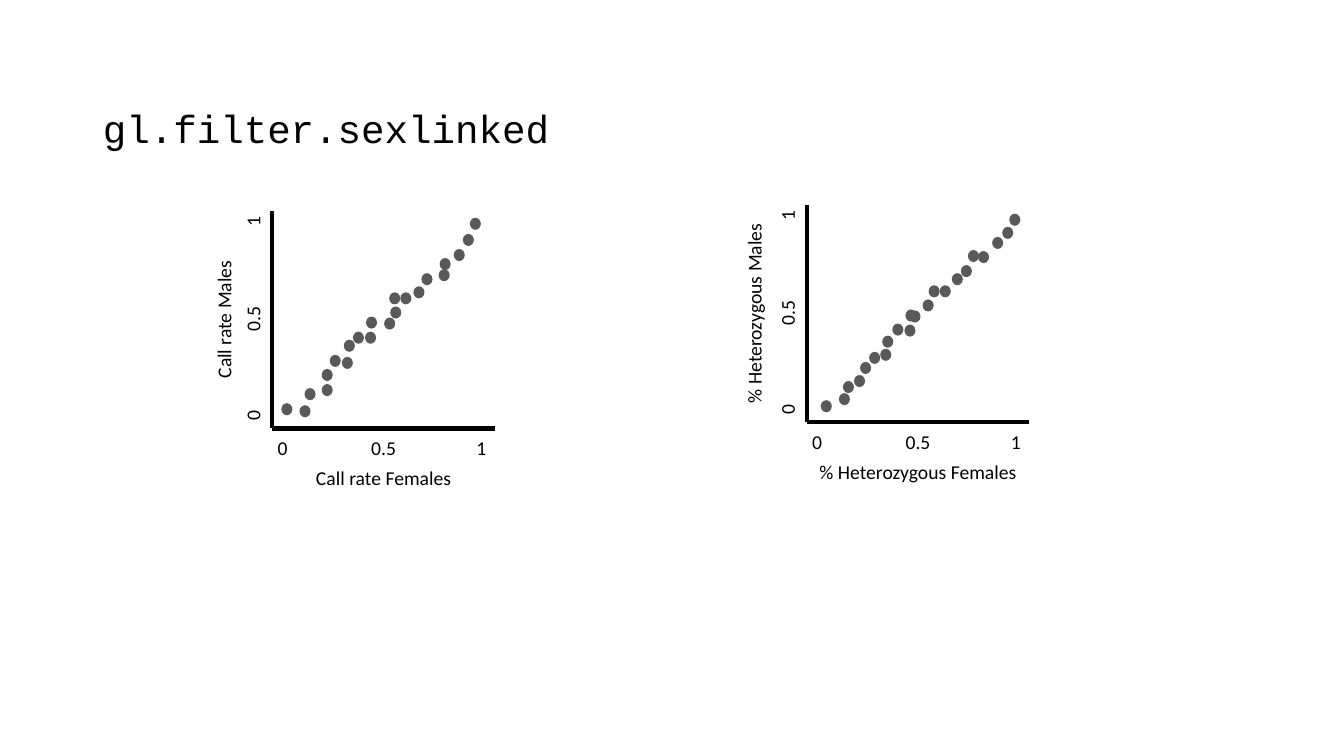
from lxml import etree
from pptx import Presentation
from pptx.dml.color import RGBColor
from pptx.enum.shapes import MSO_CONNECTOR, MSO_SHAPE
from pptx.enum.text import MSO_ANCHOR, MSO_AUTO_SIZE, PP_ALIGN
from pptx.oxml.ns import qn
from pptx.util import Inches, Pt

BLACK = RGBColor(0x00, 0x00, 0x00)
DOT_GRAY = RGBColor(0x59, 0x59, 0x59)

TITLE = "gl.filter.sexlinked"
TICKS = "0\t0.5\t1"

# Origin is the axis corner; dots are the left and top of each marker, in inches.
PLOTS = [
    {
        "origin": (2.70, 4.25),
        "x_title": ("Call rate Females", 2.24),
        "y_title": ("Call rate Males", 2.15),
        "y_title_offset": -0.48,
        "dots": [
            (4.35, 2.67), (3.19, 3.66), (3.41, 3.37), (3.81, 3.15), (3.50, 3.29),
            (3.19, 3.81), (3.62, 3.29), (4.36, 2.56), (3.02, 3.85), (2.79, 4.00),
            (2.97, 4.02), (3.27, 3.52), (3.86, 2.90), (3.87, 3.04), (3.39, 3.54),
            (3.97, 2.90), (4.18, 2.71), (3.63, 3.14), (4.10, 2.84), (4.50, 2.47),
            (4.59, 2.32), (4.66, 2.16),
        ],
    },
    {
        "origin": (8.00, 4.19),
        "x_title": ("% Heterozygous Females", 2.76),
        "y_title": ("% Heterozygous Males", 2.52),
        "y_title_offset": -0.52,
        "dots": [
            (9.60, 2.48), (8.53, 3.59), (8.75, 3.33), (9.02, 3.08), (8.85, 3.21),
            (8.47, 3.72), (8.97, 3.22), (9.70, 2.49), (8.36, 3.78), (8.14, 3.97),
            (8.32, 3.90), (8.62, 3.49), (9.21, 2.83), (9.15, 2.97), (8.73, 3.46),
            (9.32, 2.83), (9.53, 2.63), (8.98, 3.07), (9.44, 2.71), (9.84, 2.35),
            (9.94, 2.25), (10.01, 2.12),
        ],
    },
]

AXIS_WIDTH, AXIS_HEIGHT = 2.21, 2.16
DOT_WIDTH, DOT_HEIGHT = 0.11, 0.12
LABEL_HEIGHT = 0.34
X_TICKS = {"width": 2.31, "tabs": (1.05, 2.02)}
Y_TICKS = {"width": 2.23, "tabs": (1.01, 1.98)}


def format_font(font, name, size):
    for key, value in {"name": name, "size": Pt(size), "bold": False}.items():
        setattr(font, key, value)
    font.color.rgb = BLACK


def add_label(shapes, text, center, width, rotation=0, tabs=()):
    """Add a text box around its centre; tabs are centred stops in inches."""
    center_x, center_y = center
    box = shapes.add_textbox(
        Inches(center_x - width / 2), Inches(center_y - LABEL_HEIGHT / 2),
        Inches(width), Inches(LABEL_HEIGHT))
    box.rotation = rotation
    frame = box.text_frame
    frame.word_wrap = True
    frame.auto_size = MSO_AUTO_SIZE.SHAPE_TO_FIT_TEXT
    paragraph = frame.paragraphs[0]
    paragraph.text = text
    paragraph.alignment = PP_ALIGN.LEFT if tabs else PP_ALIGN.CENTER
    if tabs:
        frame.margin_left, frame.margin_right = Inches(0.11), 0
        tab_list = etree.SubElement(
            paragraph._p.get_or_add_pPr(), qn("a:tabLst"))
        for position in tabs:
            etree.SubElement(tab_list, qn("a:tab"),
                             pos=str(Inches(position)), algn="ctr")
    format_font(paragraph.font, "Calibri", 14)


def add_axis(shapes, start, end):
    axis = shapes.add_connector(
        MSO_CONNECTOR.STRAIGHT, *(Inches(value) for value in start + end))
    axis.line.color.rgb = BLACK
    axis.line.width = Pt(3)
    etree.SubElement(axis._element.spPr, qn("a:effectLst"))


def add_dot(shapes, left, top):
    dot = shapes.add_shape(MSO_SHAPE.OVAL, Inches(left), Inches(top),
                           Inches(DOT_WIDTH), Inches(DOT_HEIGHT))
    dot.shadow.inherit = False
    dot.fill.solid()
    dot.fill.fore_color.rgb = DOT_GRAY
    dot.line.fill.background()


def add_plot(slide, plot):
    shapes = slide.shapes.add_group_shape().shapes
    x, y = plot["origin"]
    middle_x, middle_y = x + AXIS_WIDTH / 2, y - AXIS_HEIGHT / 2

    add_label(shapes, TICKS, (x + 1.10, y + 0.20), **X_TICKS)
    add_axis(shapes, (x, y - AXIS_HEIGHT), (x, y))
    add_axis(shapes, (x + AXIS_WIDTH, y), (x, y))
    text, width = plot["x_title"]
    add_label(shapes, text, (middle_x, y + 0.49), width)
    text, width = plot["y_title"]
    add_label(shapes, text, (x + plot["y_title_offset"], middle_y), width, 270)
    add_label(shapes, TICKS, (x - 0.19, middle_y), rotation=270, **Y_TICKS)
    for left, top in plot["dots"]:
        add_dot(shapes, left, top)


def add_title(slide):
    title = slide.shapes.title
    title.left, title.top = Inches(0.92), Inches(1.04)
    title.width, title.height = Inches(11.5), Inches(4.76)
    frame = title.text_frame
    frame.text = TITLE
    frame.word_wrap = True
    frame.auto_size = MSO_AUTO_SIZE.NONE
    frame.vertical_anchor = MSO_ANCHOR.TOP
    paragraph = frame.paragraphs[0]
    paragraph.alignment = PP_ALIGN.LEFT
    paragraph.line_spacing = 0.9
    format_font(paragraph.runs[0].font, "Courier New", 28)


def main():
    presentation = Presentation()
    presentation.slide_width = Inches(13.33)
    presentation.slide_height = Inches(7.5)
    slide = presentation.slides.add_slide(presentation.slide_layouts[5])
    add_title(slide)
    for plot in PLOTS:
        add_plot(slide, plot)
    presentation.save("out.pptx")


if __name__ == "__main__":
    main()
